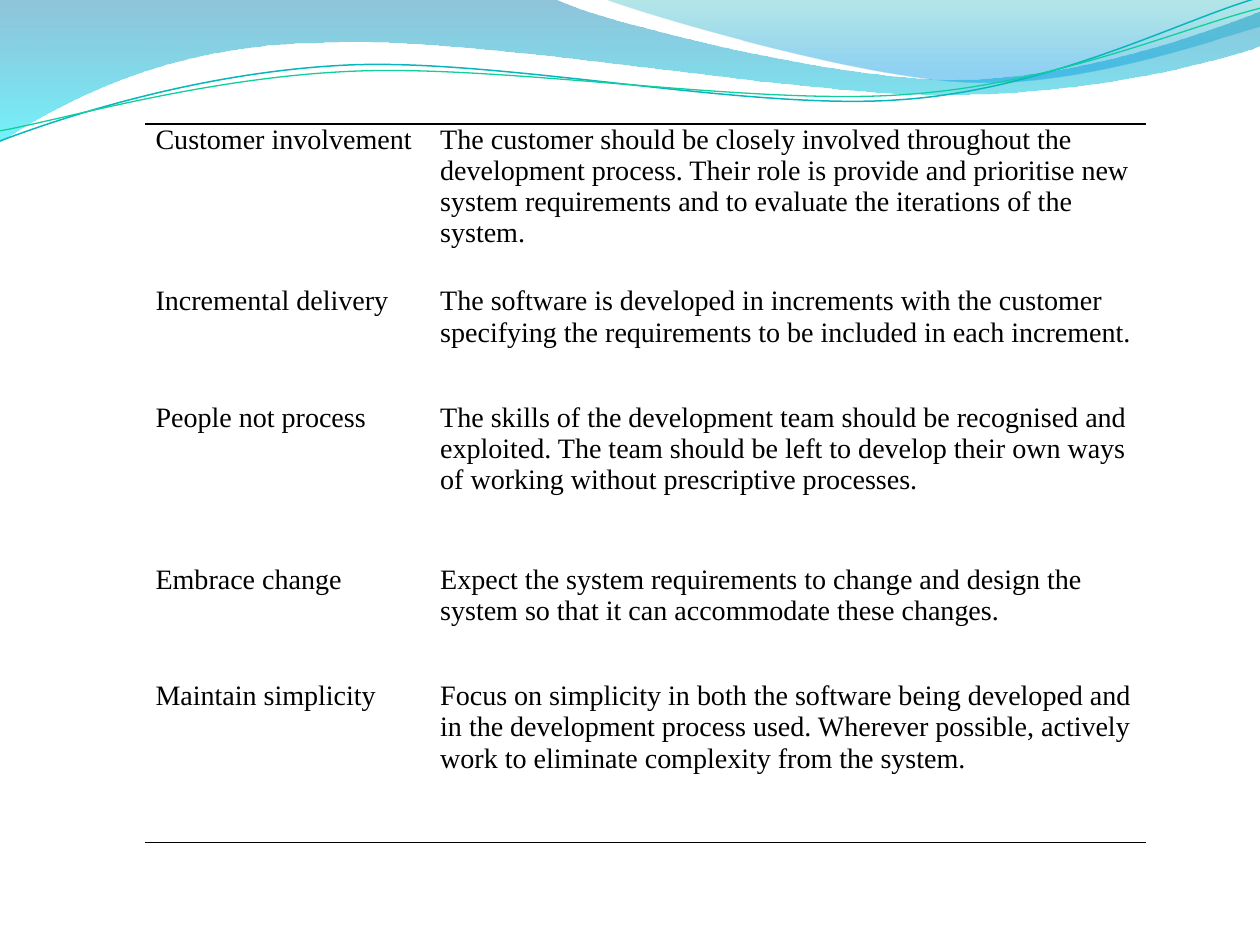
from lxml import etree
from pptx import Presentation
from pptx.dml.color import RGBColor
from pptx.oxml.ns import qn
from pptx.util import Inches, Pt

PLAIN = "{2D5ABB26-0587-4C30-8999-92F81FD0307C}"  # table style without grid
THEME = {
    "font": "Times New Roman", "size": 16, "ink": "000000", "rule": 1,
    "deep": "0079AD", "aqua": "00E9F7", "teal": "00ABB4", "sky": "0099E4",
    "cyan": "09B6BE", "green": "10CF9B",
}


def trace(shapes, start, *parts, close=True):
    """Draw an outline of points (x, y) and cubic curves (six numbers)."""
    points = [(Inches(part[i]), Inches(part[i + 1]))
              for part in parts for i in range(0, len(part), 2)]
    pen = shapes.build_freeform(Inches(start[0]), Inches(start[1]))
    pen.add_line_segments(points, close=close)
    shape = pen.convert_to_shape()
    shape.shadow.inherit = False
    lines = list(shape._element.spPr.iter(qn("a:lnTo")))
    for part in parts:
        count = len(part) // 2
        group, lines = lines[:count], lines[count:]
        if count == 3:
            curve = etree.Element(qn("a:cubicBezTo"))
            group[0].addprevious(curve)
            for line in group:
                curve.append(line[0])
                line.getparent().remove(line)
    return shape


def write(frame, text, font, size, ink):
    """Put formatted text into a text frame."""
    run = frame.paragraphs[0].add_run()
    run.text = text
    run.font.name = font
    run.font.size = Pt(size)
    run.font.color.rgb = RGBColor.from_string(ink)


deck = Presentation()
deck.slide_width, deck.slide_height = Inches(9.96), Inches(7.47)
slide = deck.slides.add_slide(deck.slide_layouts[6])
shapes = slide.shapes

# Waves: outline, then gradient stops as (place, colour, percent opaque)
waves = [
    ([(0, 0), (4.38, -0.01), (4.74, 0.17, 6.61, 0.63, 7.55, 0.63),
      (8.5, 0.63, 9.54, 0.26, 9.96, 0.09), (9.97, 0.36),
      (9.79, 0.44, 8.66, 0.76, 7.43, 0.75), (6.19, 0.75, 3.8, 0.28, 2.56, 0.34),
      (1.29, 0.35, 0.46, 0.83, -0.01, 1.13)],
     [(0, "deep", 44), (1, "aqua", 55)]),
    ([(4.77, -0.01), (5.07, 0.11, 6.79, 0.62, 7.66, 0.65),
      (8.52, 0.69, 9.57, 0.32, 9.96, 0.21), (9.96, 0)],
     [(0, "teal", 29), (0.8, "sky", 44)]),
]
for outline, stops in waves:
    wave = trace(shapes, *outline)
    wave.line.fill.background()
    wave.fill.gradient()
    wave.fill.gradient_angle = 270
    for stop, (place, name, _) in zip(wave.fill.gradient_stops, stops):
        stop.position = place
        stop.color.rgb = RGBColor.from_string(THEME[name])
    tints = wave._element.spPr.iter(qn("a:srgbClr"))
    for tint, (_, _, solid) in zip(list(tints), stops):
        etree.SubElement(tint, qn("a:alpha"), val=str(solid * 1000))

# Thin swirls under the waves, drawn level and then tilted
TILT = -2.7
swirls = [
    ("cyan", 0.85, [(-0.02, 0.88), (0.47, 0.72, 1.57, 0.41, 2.75, 0.41),
                    (3.95, 0.41, 5.89, 0.92, 7.09, 0.89),
                    (8.28, 0.87, 9.36, 0.36, 9.96, 0.22)]),
    ("green", 0.75, [(-0.02, 0.8), (0.46, 0.74, 1.63, 0.45, 2.82, 0.46),
                     (4.02, 0.47, 5.94, 0.88, 7.13, 0.85),
                     (8.32, 0.83, 9.38, 0.42, 9.98, 0.3)]),
]
pair = shapes.add_group_shape()
for name, width, curve in swirls:
    swirl = trace(pair.shapes, *curve, close=False)
    swirl.rotation = TILT
    swirl.fill.background()
    swirl.line.color.rgb = RGBColor.from_string(THEME[name])
    swirl.line.width = Pt(width)

# Table of principles
TALL, SHORT = 1.28, 0.92
rows = [
    (TALL, "Customer involvement",
     "The customer should be closely involved throughout the development process. "
     "Their role is provide and prioritise new system requirements and to evaluate "
     "the iterations of the system."),
    (SHORT, "Incremental delivery",
     "The software is developed in increments with the customer specifying the "
     "requirements to be included in each increment."),
    (TALL, "People not process",
     "The skills of the development team should be recognised and exploited. The team "
     "should be left to develop their own ways of working without prescriptive processes."),
    (SHORT, "Embrace change",
     "Expect the system requirements to change and design the system so that it can "
     "accommodate these changes."),
    (TALL, "Maintain simplicity",
     "Focus on simplicity in both the software being developed and in the development "
     "process used. Wherever possible, actively work to eliminate complexity from the system."),
]
widths = [2.25, 5.66]
table = shapes.add_table(len(rows), 2, Inches(1.15), Inches(0.98), Inches(sum(widths)),
                         Inches(sum(row[0] for row in rows))).table
table.first_row = table.horz_banding = False
table._tbl.tblPr.find(qn("a:tableStyleId")).text = PLAIN
for column, width in zip(table.columns, widths):
    column.width = Inches(width)

edges = {0: "a:lnT", len(rows) - 1: "a:lnB"}
for r, (height, *texts) in enumerate(rows):
    table.rows[r].height = Inches(height)
    for cell, text in zip(table.rows[r].cells, texts):
        cell.fill.background()
        cell.margin_left = cell.margin_right = Inches(0.08)
        cell.margin_top, cell.margin_bottom = 0, Inches(0.1)
        write(cell.text_frame, text, font=THEME["font"], size=THEME["size"], ink=THEME["ink"])
        if r in edges:
            edge = etree.Element(qn(edges[r]), w=str(Pt(THEME["rule"])))
            paint = etree.SubElement(edge, qn("a:solidFill"))
            etree.SubElement(paint, qn("a:srgbClr"), val=THEME["ink"])
            cell._tc.get_or_add_tcPr().insert(0, edge)

deck.save("out.pptx")
